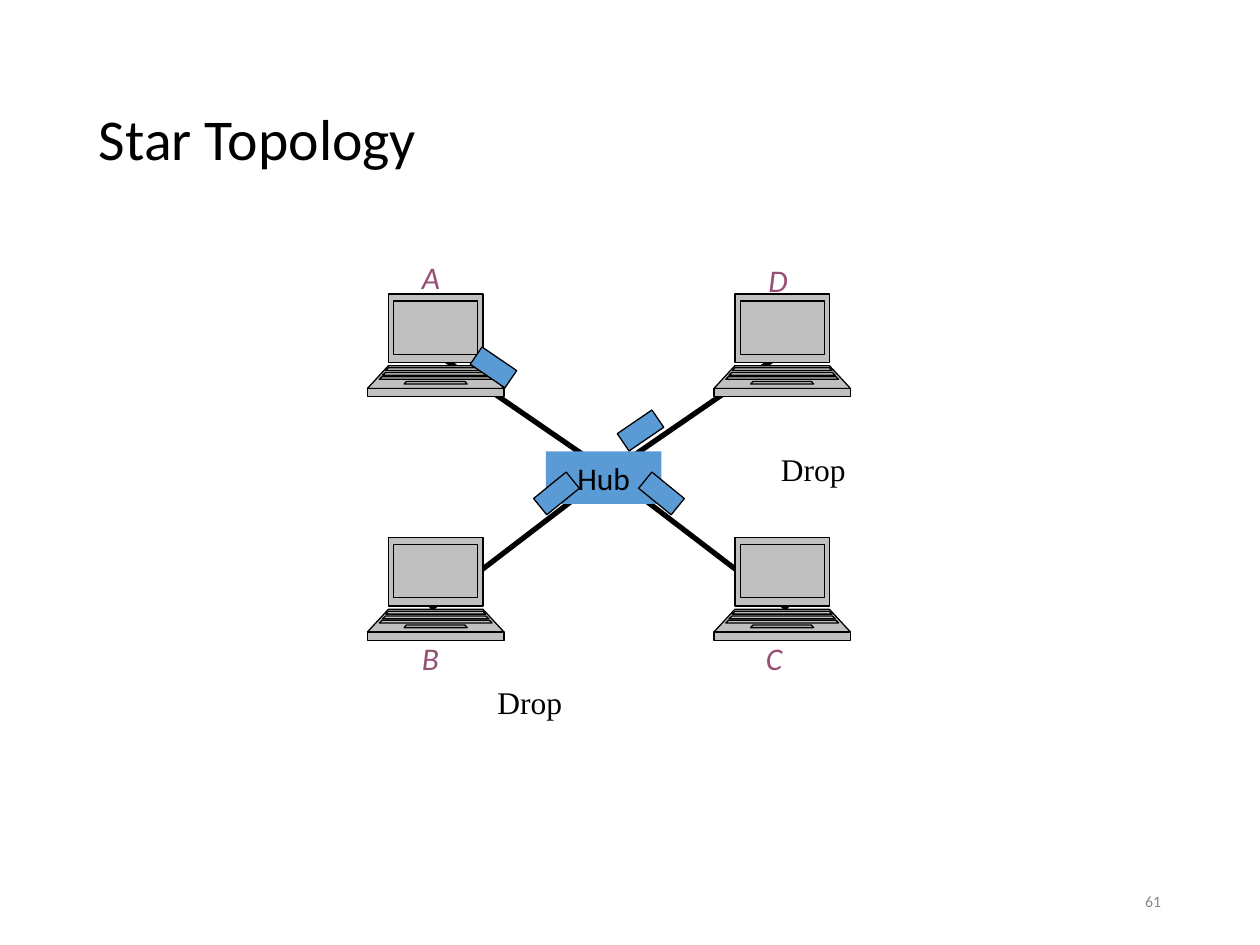
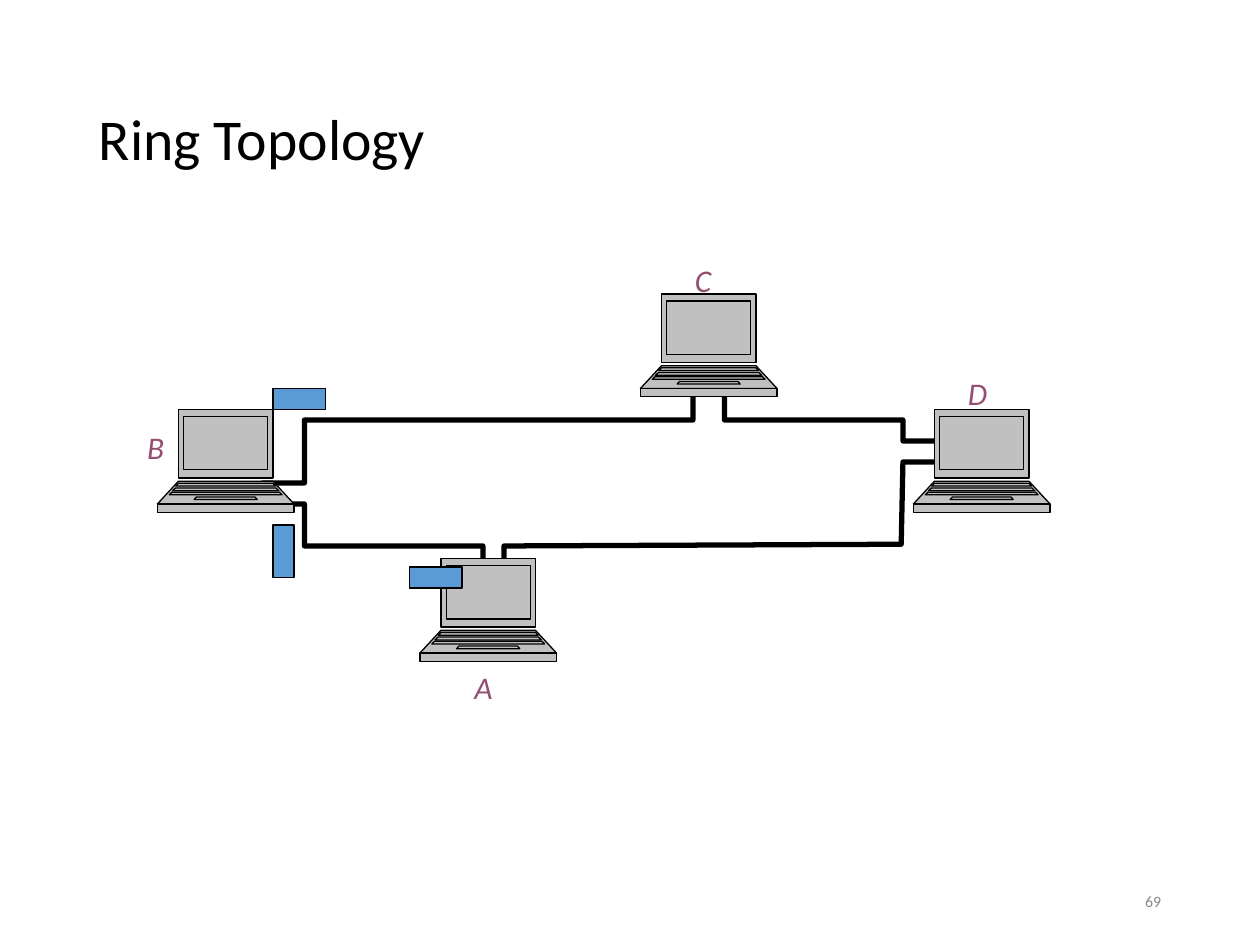
from pptx import Presentation
from pptx.dml.color import RGBColor
from pptx.enum.shapes import MSO_CONNECTOR, MSO_SHAPE
from pptx.enum.text import MSO_ANCHOR, PP_ALIGN
from pptx.oxml.ns import qn
from pptx.util import Pt
from lxml import etree

BLACK = RGBColor(0x00, 0x00, 0x00)
BLUE = RGBColor(0x5B, 0x9B, 0xD5)
SILVER = RGBColor(0xC0, 0xC0, 0xC0)
PLUM = RGBColor(0x95, 0x4F, 0x72)
GREY = RGBColor(0x88, 0x88, 0x88)

SANS = "Calibri"
SERIF = "Times New Roman"
CABLE = 3
OUTLINE = 0.75

LAPTOP_W = 78
# top inset, bottom inset, top, bottom
LAPTOP_PARTS = [
    (12, 12, 0, 39.2),
    (12, 0, 41, 54),
    (0, 0, 54, 58.8),
    (15, 15, 4, 34.5),
    (12, 10.5, 42.2, 43.8),
    (22.3, 21, 50, 51.5),
    (10.3, 8.6, 44.9, 46.5),
    (8.3, 6.8, 47.3, 48.8),
]


def points(*values):
    return [Pt(v) for v in values]


def style_shape(sp, fill, line_width):
    sp.shadow.inherit = False
    if fill is None:
        sp.fill.background()
    else:
        sp.fill.solid()
        sp.fill.fore_color.rgb = fill
    if line_width:
        sp.line.color.rgb = BLACK
        sp.line.width = Pt(line_width)
    else:
        sp.line.fill.background()


def write(sp, text, size, color=BLACK, font=SANS, italic=False,
          align=PP_ALIGN.LEFT, anchor=MSO_ANCHOR.TOP):
    tf = sp.text_frame
    tf.word_wrap = True
    tf.vertical_anchor = anchor
    tf.text = text
    p = tf.paragraphs[0]
    p.alignment = align
    f = p.runs[0].font
    f.size, f.name, f.italic = Pt(size), font, italic
    f.color.rgb = color
    return p


def add_text(s, text, box, size, **style):
    return write(s.shapes.add_textbox(*points(*box)), text, size, **style)


def add_rect(s, box, line_width=OUTLINE, rotation=0):
    sp = s.shapes.add_shape(MSO_SHAPE.RECTANGLE, *points(*box))
    style_shape(sp, BLUE, line_width)
    sp.rotation = rotation
    return sp


def add_cable(s, start, end):
    line = s.shapes.add_connector(MSO_CONNECTOR.STRAIGHT, *points(*start, *end))
    line.line.color.rgb = BLACK
    line.line.width = Pt(CABLE)
    etree.SubElement(line._element.spPr, qn("a:effectLst"))


def add_outline(s, contours, closed, fill, line_width):
    first, *others = [[points(*xy) for xy in c] for c in contours]
    fb = s.shapes.build_freeform(*first[0])
    fb.add_line_segments(first[1:], close=closed)
    for contour in others:
        fb.move_to(*contour[0])
        fb.add_line_segments(contour[1:], close=closed)
    sp = fb.convert_to_shape()
    style_shape(sp, fill, line_width)
    return sp


def split_contours(sp):
    source = sp._element.find(".//" + qn("a:path"))
    target = source
    for step in list(source):
        if step.tag == qn("a:moveTo") and step is not source[0]:
            target = etree.SubElement(source.getparent(), qn("a:path"), dict(source.attrib))
        if target is not source:
            target.append(step)


def add_laptop(s, x, y):
    contours = [
        [(x + a, y + top), (x + LAPTOP_W - a, y + top),
         (x + LAPTOP_W - b, y + bottom), (x + b, y + bottom)]
        for a, b, top, bottom in LAPTOP_PARTS
    ]
    split_contours(add_outline(s, contours, True, SILVER, OUTLINE))


def add_labels(s, labels):
    for letter, x, y in labels:
        add_text(s, letter, (x, y, 26.5, 29), 18, color=PLUM, italic=True)


def add_topic_slide(prs, title, number):
    s = prs.slides.add_slide(prs.slide_layouts[6])
    p = add_text(s, title, (49.5, 28.8, 621, 104.4), 33, anchor=MSO_ANCHOR.MIDDLE)
    p.line_spacing = 0.9
    add_text(s, number, (508.5, 500.5, 162, 28.8), 9, color=GREY,
             align=PP_ALIGN.RIGHT, anchor=MSO_ANCHOR.MIDDLE)
    return s


def build_star(prs):
    s = add_topic_slide(prs, "Star Topology", "61")
    for end in [(252, 204), (444, 204), (246, 348), (450, 348)]:
        add_cable(s, (348, 270), end)
    for x in (210, 408):
        for y in (168, 307.2):
            add_laptop(s, x, y)

    hub = add_rect(s, (312, 258, 66, 30), line_width=0)
    write(hub, "Hub", 18, align=PP_ALIGN.CENTER, anchor=MSO_ANCHOR.MIDDLE)
    for x, y, angle in [(270, 204, 34.3), (354, 240, -34.3),
                        (306, 276, -39.1), (366, 276, 39.1)]:
        add_rect(s, (x, y, 24, 12), rotation=angle)

    add_labels(s, [("A", 234, 144), ("D", 432, 145.4),
                   ("B", 234, 361.4), ("C", 430.6, 361.4)])
    for x, y in [(277.2, 386.6), (439.2, 253.4)]:
        add_text(s, "Drop", (x, y, 53, 29), 18, font=SERIF)


def build_ring(prs):
    s = add_topic_slide(prs, "Ring Topology", "69")
    ring = [(276, 336), (276, 312), (174, 312), (174, 288), (150, 288),
            (150, 276), (174, 276), (174, 240), (396, 240), (396, 216),
            (414, 216), (414, 240), (516, 240), (516, 252), (540, 252),
            (540, 264), (516, 264), (515, 311), (288, 312), (288, 336)]
    add_outline(s, [ring], False, None, CABLE)
    for x, y in [(366, 168), (522, 234), (90, 234), (240, 319.2)]:
        add_laptop(s, x, y)
    for x, y, angle in [(234, 324, 0), (147, 309, 90), (156, 222, 0)]:
        add_rect(s, (x, y, 30, 12), rotation=angle)
    add_labels(s, [("A", 264, 378), ("B", 77, 241.2),
                   ("C", 390, 145.4), ("D", 546, 210)])


def main():
    prs = Presentation()
    prs.slide_width, prs.slide_height = points(720, 540)
    build_star(prs)
    build_ring(prs)
    prs.save("out.pptx")


if __name__ == "__main__":
    main()
